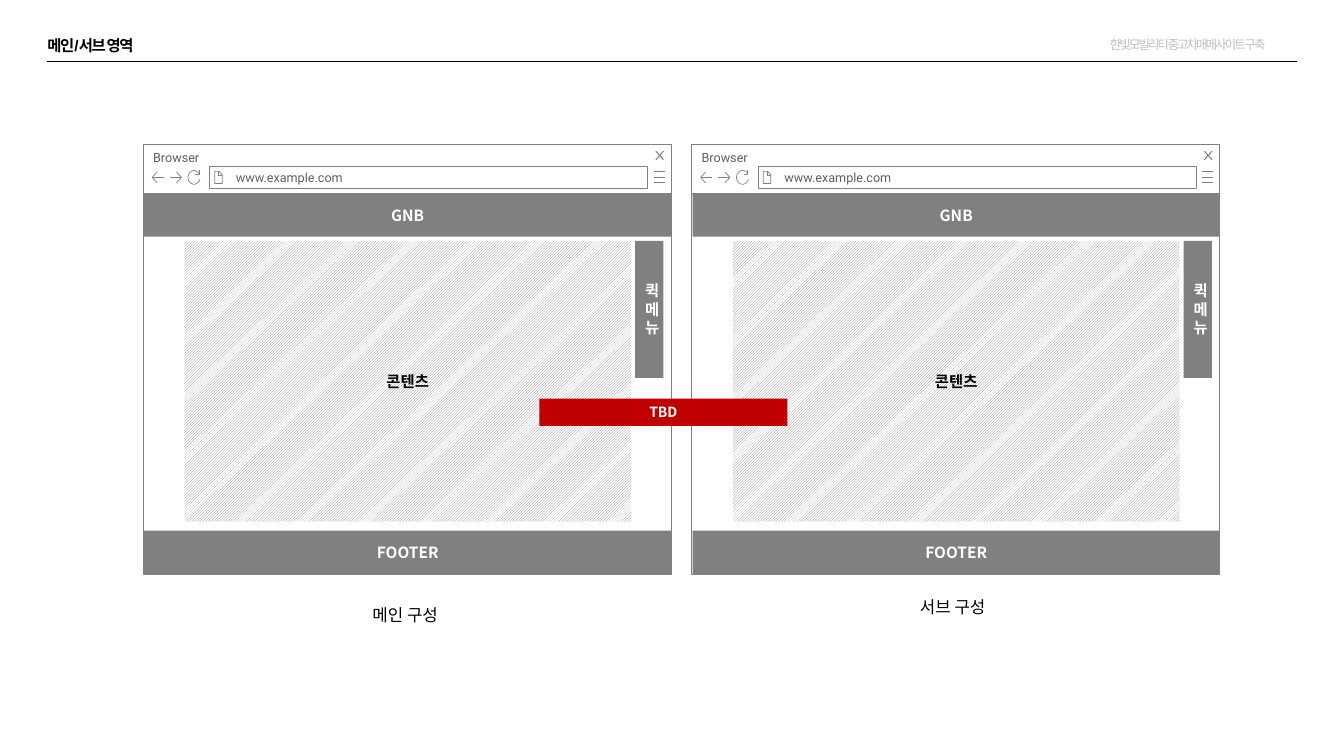
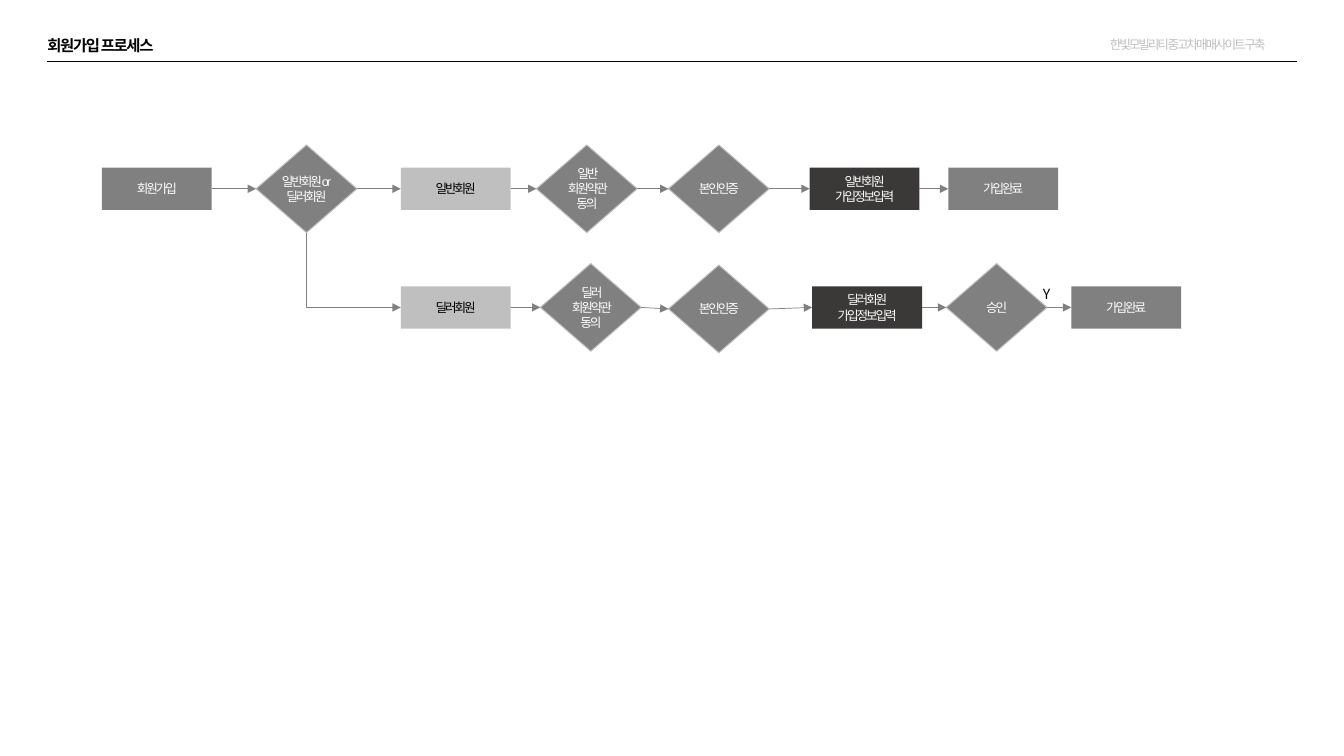
from math import cos, radians, sin

from pptx import Presentation
from pptx.dml.color import RGBColor
from pptx.enum.dml import MSO_PATTERN as Pattern
from pptx.enum.shapes import MSO_CONNECTOR as Connector, MSO_SHAPE as Shape
from pptx.enum.text import MSO_ANCHOR as Anchor, MSO_AUTO_SIZE as AutoSize, PP_ALIGN as Align
from pptx.oxml.ns import qn
from pptx.oxml.xmlchemy import OxmlElement
from pptx.util import Inches, Pt

# The grid has 133.3 columns and 75 rows, each a tenth of an inch.
COLUMNS, ROWS = 133.3, 75
PROJECT = "한빛모빌리티 중고차매매사이트 구축"
BLACK, WHITE, RED = "000000", "FFFFFF", "C00000"
GRAY, SILVER, CHARCOAL, INK = "808080", "BFBFBF", "3B3838", "5F5F5F"
SANS, KOREAN, LATIN = "Arial", "Noto Sans CJK KR", "Roboto"
BAR_TEXT = dict(font=KOREAN, size=11, bold=True, color=WHITE)
FLOW_TEXT = dict(size=9, spacing=-1.5, insets=(0, 0.4, 0, 0.4))
TOP, LEFT, BOTTOM, RIGHT = range(4)


def cells(count):
    return Inches(count / 10)


def rgb(code):
    return RGBColor.from_string(code)


def write(shape, text, font=SANS, size=9, color=BLACK, bold=False, spacing=0,
          align=Align.CENTER, anchor=Anchor.MIDDLE, insets=(1, 0.5, 1, 0.5),
          wrap=True, grow=False, line_spacing=None):
    """Fill a shape with one paragraph per line; insets run left, top, right, bottom."""
    frame = shape.text_frame
    frame.word_wrap = wrap
    frame.vertical_anchor = anchor
    frame.auto_size = AutoSize.SHAPE_TO_FIT_TEXT if grow else AutoSize.NONE
    (frame.margin_left, frame.margin_top,
     frame.margin_right, frame.margin_bottom) = map(cells, insets)
    for index, line in enumerate(text.split("\n")):
        paragraph = frame.add_paragraph() if index else frame.paragraphs[0]
        paragraph.alignment = align
        if line_spacing:
            paragraph.line_spacing = line_spacing
        run = paragraph.add_run()
        run.text = line
        run.font.name, run.font.size, run.font.bold = font, Pt(size), bold
        run.font.color.rgb = rgb(color)
        properties = run.font._element
        if spacing:
            properties.set("spc", str(int(spacing * 100)))
        east_asian = OxmlElement("a:ea")
        east_asian.set("typeface", KOREAN)
        properties.append(east_asian)


class Deck:
    def __init__(self):
        self.presentation = Presentation()
        self.presentation.slide_width = cells(COLUMNS)
        self.presentation.slide_height = cells(ROWS)
        self.slide = None

    def new_slide(self, title):
        self.slide = self.presentation.slides.add_slide(self.presentation.slide_layouts[6])
        rule = self.slide.shapes.add_connector(
            Connector.STRAIGHT, *map(cells, (4.7, 6.05, 128.65, 6.05)))
        self.style_connector(rule, BLACK, 0.25)
        self.label(109.1, 3.2, 19.3, 2.5, PROJECT, color=SILVER, spacing=-1.5)
        self.label(4.7, 3.75, 40.5, 1.7, title, size=11, bold=True, spacing=-1,
                   insets=(0, 0, 0, 0), wrap=True, line_spacing=0.9)

    def label(self, left, top, width, height, text, **style):
        box = self.slide.shapes.add_textbox(*map(cells, (left, top, width, height)))
        write(box, text, **{"align": Align.LEFT, "anchor": Anchor.TOP,
                            "wrap": False, "grow": True, **style})

    def outline(self, shape, color, width):
        if color:
            shape.line.color.rgb = rgb(color)
            shape.line.width = Pt(width)
        else:
            shape.line.fill.background()

    def block(self, left, top, width, height, text="", kind=Shape.RECTANGLE,
              fill=GRAY, line=None, line_width=0.5, hatched=False, **style):
        shape = self.slide.shapes.add_shape(kind, *map(cells, (left, top, width, height)))
        shape.shadow.inherit = False
        if hatched:
            shape.fill.patterned()
            shape.fill.pattern = Pattern.LIGHT_UPWARD_DIAGONAL
            shape.fill.fore_color.rgb = rgb(fill)
            shape.fill.back_color.rgb = rgb(WHITE)
        else:
            shape.fill.solid()
            shape.fill.fore_color.rgb = rgb(fill)
        self.outline(shape, line, line_width)
        if text:
            write(shape, text, **style)
        return shape

    def icon(self, left, top, strokes, width=0.5):
        """Draw open strokes whose points are offsets from left and top."""
        strokes = [[(cells(left + x), cells(top + y)) for x, y in stroke]
                   for stroke in strokes]
        builder = self.slide.shapes.build_freeform(*strokes[0][0])
        builder.add_line_segments(strokes[0][1:], close=False)
        for start, *rest in strokes[1:]:
            builder.move_to(*start)
            builder.add_line_segments(rest, close=False)
        shape = builder.convert_to_shape()
        shape.shadow.inherit = False
        shape.fill.background()
        self.outline(shape, GRAY, width)

    def style_connector(self, connector, color, width, arrow=None):
        self.outline(connector, color, width)
        properties = connector._element.spPr
        if arrow:
            end = OxmlElement(arrow)
            end.set("type", "triangle")
            properties.find(qn("a:ln")).append(end)
        properties.append(OxmlElement("a:effectLst"))

    def connect(self, begin, begin_site, end, end_site, kind, arrow):
        connector = self.slide.shapes.add_connector(kind, 0, 0, 0, 0)
        connector.begin_connect(begin, begin_site)
        connector.end_connect(end, end_site)
        self.style_connector(connector, GRAY, 0.5, arrow)
        return connector

    def arrow(self, source, target):
        self.connect(source, RIGHT, target, LEFT, Connector.STRAIGHT, "a:tailEnd")

    def branch(self, source, target):
        """Go down from source, then right to target: one corner, drawn from the target."""
        connector = self.connect(target, LEFT, source, BOTTOM, Connector.ELBOW, "a:headEnd")
        connector._element.spPr.find(qn("a:prstGeom")).set("prst", "bentConnector2")

    def browser(self, left, top):
        width = 52.38
        frame = dict(fill=WHITE, line=GRAY, font=LATIN, color=INK, align=Align.LEFT)
        self.block(left, top + 4.7, width, 37.9, **frame)
        self.block(left, top, width, 4.8, "Browser", anchor=Anchor.TOP,
                   insets=(1, 0.5, 2.5, 0.5), **frame)
        self.block(left + 6.6, top + 2.2, 43.45, 2.1, "www.example.com",
                   insets=(2.6, 0.5, 1, 0.5), **frame)

        self.icon(left + 50.65, top + 2.7, [[(0, y), (1.1, y)] for y in (0, 0.5, 1)])
        self.icon(left + 50.85, top + 0.65,
                  [[(0.75, 0), (0, 0.85)], [(0, 0), (0.75, 0.85)]], 0.75)
        self.icon(left + 7.1, top + 2.65, [
            [(0.4, 0), (0.4, 0.4), (0.75, 0.4)],
            [(0, 0), (0, 1.2), (0.75, 1.2), (0.75, 0.35), (0.45, 0), (0, 0)]])
        back = [[(0.5, 0), (0, 0.55), (0.5, 1.1)], [(0, 0.55), (1.15, 0.55)]]
        forward = [[(1.15 - x, y) for x, y in stroke] for stroke in back]
        self.icon(left + 0.9, top + 2.7, back)
        self.icon(left + 2.65, top + 2.7, forward)
        circle = [(0.6 * cos(radians(angle)), 0.68 * sin(radians(angle)))
                  for angle in range(15, 331, 15)]
        self.icon(left + 5.05, top + 3.25,
                  [circle, [(0.52, -0.75), (0.52, -0.34), (0.12, -0.34)]])

        for bar_top, text in ((4.84, "GNB"), (38.3, "FOOTER")):
            self.block(left + 0.1, top + bar_top, width - 0.1, 4.3, text, **BAR_TEXT)
        self.block(left + 48.8, top + 9.54, 2.8, 13.6, "퀵\n메뉴", **BAR_TEXT)
        self.block(left + 4.1, top + 9.6, 44.3, 27.8, "콘텐츠", hatched=True,
                   **{**BAR_TEXT, "color": BLACK})

    def step(self, left, middle, text, fill=GRAY, color=WHITE):
        return self.block(left, middle - 2.1, 10.9, 4.2, text,
                          fill=fill, color=color, **FLOW_TEXT)

    def decision(self, left, middle, text):
        return self.block(left, middle - 4.35, 10, 8.7, text, kind=Shape.DIAMOND,
                          line=SILVER, line_width=0.75, color=WHITE, **FLOW_TEXT)

    def chain(self, shapes):
        for source, target in zip(shapes, shapes[1:]):
            self.arrow(source, target)


def add_layout_slide(deck):
    deck.new_slide("메인/서브 영역")
    for left, caption_left, caption_top, caption in (
            (14.2, 35.95, 59.5, "메인 구성"), (68.6, 90.25, 58.7, "서브 구성")):
        deck.browser(left, 14.35)
        deck.label(caption_left, caption_top, 9.2, 3, caption, font=LATIN, size=12)
    deck.block(53.5, 39.55, 24.6, 2.7, "TBD", fill=RED, anchor=Anchor.TOP, grow=True,
               **{**BAR_TEXT, "size": 10})


def add_signup_slide(deck):
    deck.new_slide("회원가입 프로세스")
    member, dealer = 18.73, 30.5
    choice = deck.decision(25.4, member, "일반회원or\n딜러회원")
    deck.chain([
        deck.step(10.1, member, "회원가입"),
        choice,
        deck.step(39.75, member, "일반회원", SILVER, BLACK),
        deck.decision(53.2, member, "일반 회원약관 동의"),
        deck.decision(66.3, member, "본인인증"),
        deck.step(80.3, member, "일반회원\n가입정보입력", CHARCOAL),
        deck.step(94.05, member, "가입완료")])
    dealer_steps = [
        deck.step(39.75, dealer, "딜러회원", SILVER, BLACK),
        deck.decision(53.6, dealer, "딜러 회원약관 동의"),
        deck.decision(66.3, dealer + 0.15, "본인인증"),
        deck.step(80.55, dealer, "딜러회원\n가입정보입력", CHARCOAL),
        deck.decision(93.85, dealer, "승인"),
        deck.step(106.25, dealer, "가입완료")]
    deck.chain(dealer_steps)
    deck.branch(choice, dealer_steps[0])
    deck.label(102.45, 27.8, 2.8, 2.7, "Y", font=KOREAN, size=10)


def main():
    deck = Deck()
    add_layout_slide(deck)
    add_signup_slide(deck)
    deck.presentation.save("out.pptx")


if __name__ == "__main__":
    main()
